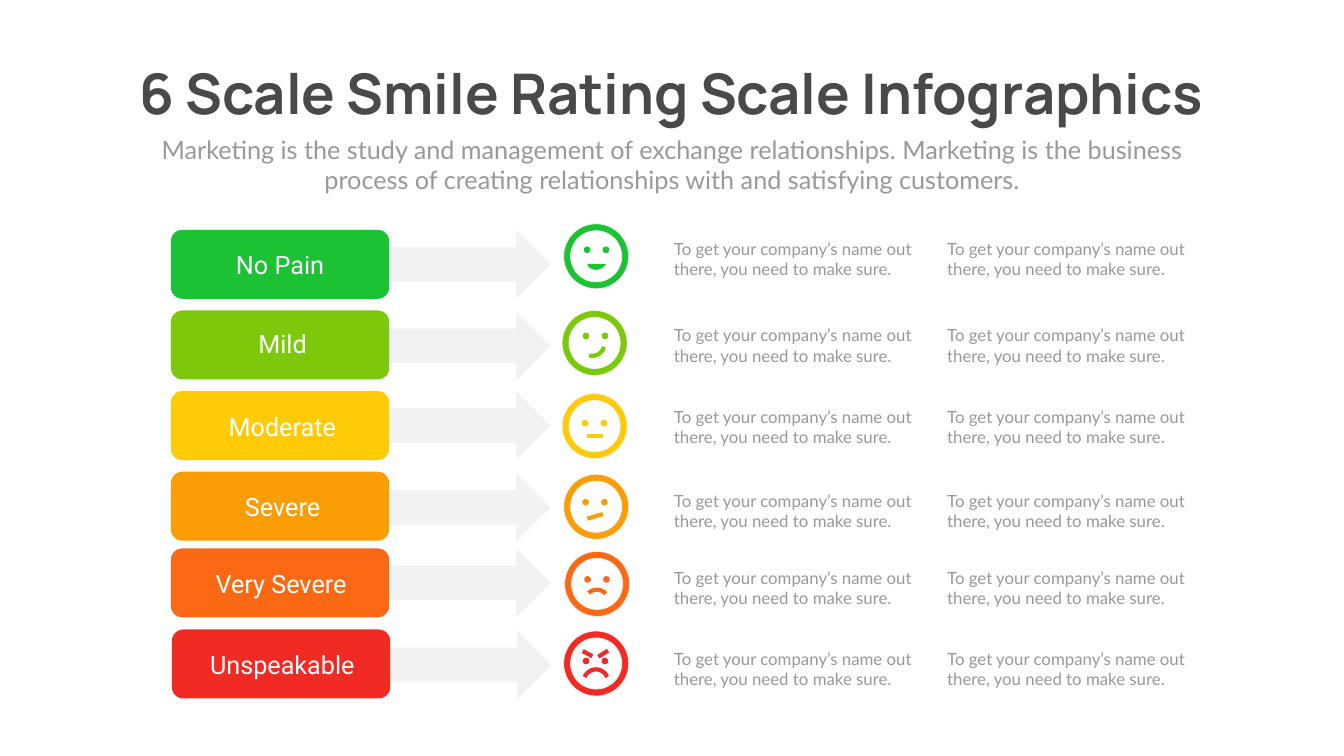
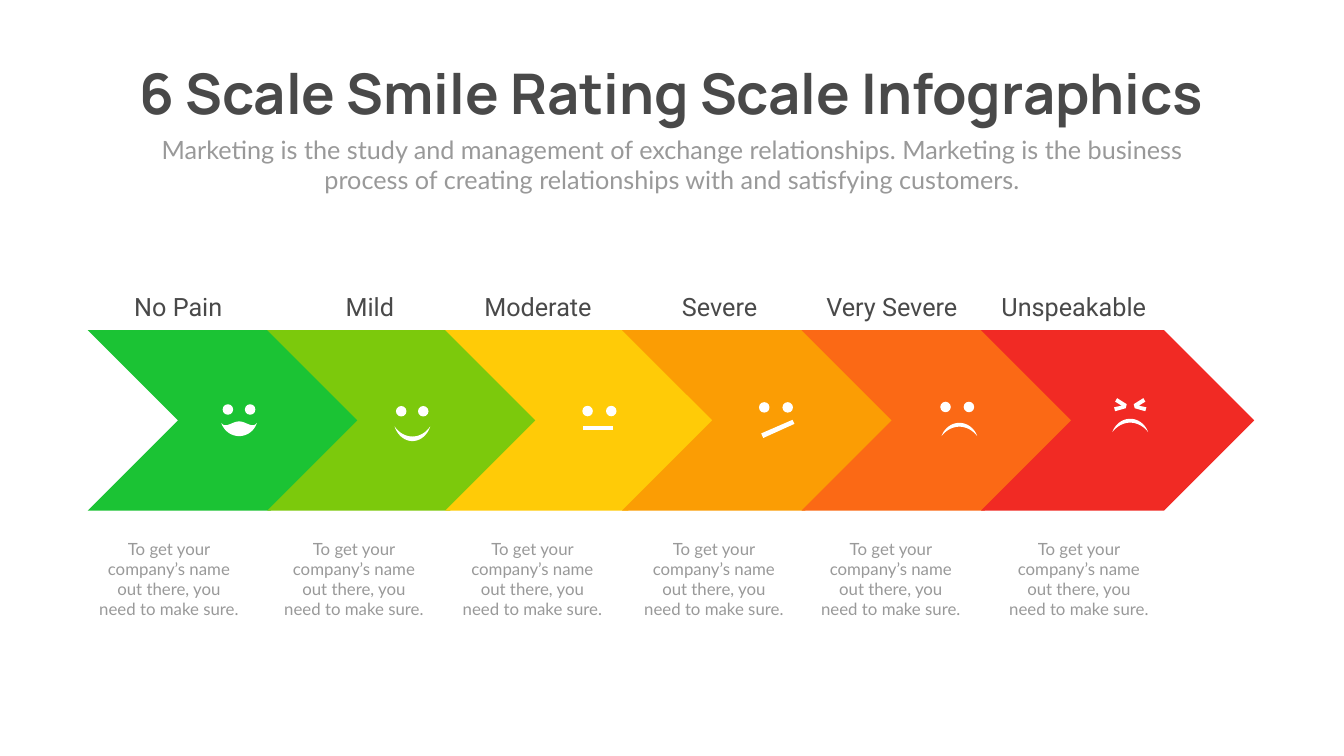
from lxml import etree
from pptx import Presentation
from pptx.dml.color import RGBColor
from pptx.enum.shapes import MSO_CONNECTOR, MSO_SHAPE
from pptx.enum.text import MSO_AUTO_SIZE, PP_ALIGN
from pptx.oxml.ns import qn
from pptx.util import Pt

LEFT, CENTER = PP_ALIGN.LEFT, PP_ALIGN.CENTER
FIT = MSO_AUTO_SIZE.SHAPE_TO_FIT_TEXT
STRAIGHT = MSO_CONNECTOR.STRAIGHT
ARROW, CARD = MSO_SHAPE.RIGHT_ARROW, MSO_SHAPE.ROUNDED_RECTANGLE
RING, DOT, CHEVRON = MSO_SHAPE.DONUT, MSO_SHAPE.OVAL, MSO_SHAPE.CHEVRON
ARC, CHORD = MSO_SHAPE.ARC, MSO_SHAPE.CHORD


class Theme:
    dark, gray, pale, white = "494949", "999999", "F2F2F2", "FFFFFF"
    levels = ["1BC334", "7CC90C", "FFCB07", "FB9D04", "FB6915", "F12A24"]
    title_font, body_font, label_font = "Manrope", "Lato", "Roboto"
    title_size, subtitle_size, label_size, body_size = 80, 36, 36, 24
    stroke = 6


NAMES = ["No Pain", "Mild", "Moderate", "Severe", "Very Severe", "Unspeakable"]
TITLE = "6 Scale Smile Rating Scale Infographics"
SUBTITLE = ("Marketing is the study and management of exchange relationships. "
            "Marketing is the business process of creating relationships with "
            "and satisfying customers.")
CAPTION = "To get your company’s name out there, you need to make sure."


def add_text(slide, text, box, font, size, color, align=CENTER, bold=False, wrap=True):
    tf = slide.shapes.add_textbox(*map(Pt, box)).text_frame
    tf.text = text
    tf.word_wrap = wrap
    tf.auto_size = FIT
    p = tf.paragraphs[0]
    p.alignment = align
    r = p.runs[0]
    r.font.name, r.font.size, r.font.bold = font, Pt(size), bold
    r.font.color.rgb = RGBColor.from_string(color)


def add_shape(slide, kind, box, fill=None, line=None, width=1, rotation=0, adj=()):
    """Add a preset shape; fill or line is left out when it has no colour."""
    s = slide.shapes.add_shape(kind, *map(Pt, box))
    s.shadow.inherit = False
    s.rotation = rotation
    for i, value in enumerate(adj):
        s.adjustments[i] = value
    if fill:
        s.fill.solid()
        s.fill.fore_color.rgb = RGBColor.from_string(fill)
    else:
        s.fill.background()
    if line:
        s.line.color.rgb = RGBColor.from_string(line)
        s.line.width = Pt(width)
    else:
        s.line.fill.background()


prs = Presentation()
prs.slide_width, prs.slide_height = Pt(1919.5), Pt(1080)
rows_slide, chevron_slide = [prs.slides.add_slide(prs.slide_layouts[6]) for _ in range(2)]

for slide in (rows_slide, chevron_slide):
    add_text(slide, TITLE, (138.2, 80.6, 1642.3, 104.4), Theme.title_font,
             Theme.title_size, Theme.dark, bold=True, wrap=False)
    add_text(slide, SUBTITLE, (210.2, 187.9, 1499, 94.3), Theme.body_font,
             Theme.subtitle_size, Theme.gray)

# Slide 1: one row per level
# left, arrow top, card top, label (left, top, width), ring, left eye, caption top
rows = [
    (244.1, 328.3, 328.3, (327.6, 352.1, 144.7), (805, 319.7), (833.8, 352.1), 337),
    (244.1, 445, 443.5, (331.2, 465.8, 144.7), (802.8, 443.5), (832.3, 475.2), 460.8),
    (244.1, 558.7, 558.7, (308.2, 583.9, 190), (802.8, 562.3), (830.9, 599.8), 577.4),
    (244.1, 675.4, 673.9, (331.2, 697.7, 144.7), (805, 677.5), (831.6, 712.8), 697),
    (244.1, 783.4, 783.4, (288, 807.8, 226.8), (806.4, 787.7), (834.5, 823), 807.1),
    (245.5, 900.7, 899.3, (288.7, 923.8, 229), (805, 901.4), (832.3, 939.6), 923),
]
for name, color, row in zip(NAMES, Theme.levels, rows):
    left, arrow_top, card_top, label, ring, eye, caption_top = row
    add_shape(rows_slide, ARROW, (left, arrow_top, 542.2, 98.6), Theme.pale)
    add_shape(rows_slide, CARD, (left, card_top, 311.8, 98.6), color)
    add_text(rows_slide, name, (*label, 51.1), Theme.label_font,
             Theme.label_size, Theme.white)
    add_shape(rows_slide, RING, (*ring, 92.9, 92.9), color, Theme.pale, adj=[0.106])
    for dx in (0, 27):
        add_shape(rows_slide, DOT, (eye[0] + dx, eye[1], 9.4, 9.4), color)
    for caption_left in (955.4, 1345.7):
        add_text(rows_slide, CAPTION, (caption_left, caption_top, 373.7, 65.5),
                 Theme.body_font, Theme.body_size, Theme.gray, LEFT)

add_shape(rows_slide, CHORD, (841.7, 361.4, 20.9, 27.4), Theme.levels[0],
          rotation=262.7, adj=[63.85, 162])
curved_mouths = [
    (1, 828.7, 473.8, 105, (162, 0)),
    (4, 835.2, 842.4, 318.1, (161.11, 0)),
    (5, 833.8, 956.2, 318.1, (145.97, 12.37)),
]
for level, x, y, rotation, adj in curved_mouths:
    add_shape(rows_slide, ARC, (x, y, 34.6, 34.6), line=Theme.levels[level],
              width=Theme.stroke, rotation=rotation, adj=adj)

# Slide 2: one chevron per level
# chevron left, label left, label width, caption left
columns = [
    (125.3, 182.2, 144.7, 132.5),
    (381.6, 455.8, 144.7, 396.7),
    (635.8, 675.4, 185.8, 651.6),
    (888.5, 955.4, 144.7, 910.8),
    (1144.8, 1155.6, 236.2, 1163.5),
    (1401.1, 1415.5, 236.2, 1432.1),
]
for name, color, column in zip(NAMES, Theme.levels, columns):
    left, label_left, label_width, caption_left = column
    add_shape(chevron_slide, CHEVRON, (left, 471.6, 390.2, 257.8), color)
    add_text(chevron_slide, name, (label_left, 412.6, label_width, 51.1),
             Theme.label_font, Theme.label_size, Theme.dark)
    add_text(chevron_slide, CAPTION, (caption_left, 765.4, 217.4, 123.8),
             Theme.body_font, Theme.body_size, Theme.gray)

# Round eyes: centres of the left and right eye, and their height
for left_x, right_x, y in [(325.5, 357.2, 585), (573, 604.5, 587.5), (839.2, 873, 587.2),
                           (1091.5, 1125, 582), (1350.4, 1383.8, 581.4)]:
    for x in (left_x, right_x):
        add_shape(chevron_slide, DOT, (x - 7.5, y - 7.5, 15, 15), Theme.white)

# Left halves of the mouths: two Bezier curves, measured from the top centre
grin = [((0, 0), (-10, 0), (-19.5, 11), (-25.5, 2)),
        ((-25.5, 2), (-22, 13), (-12, 21), (0, 21))]
smile = [((0, 14.5), (-11, 14.5), (-20, 8), (-25.5, 0)),
         ((-25.5, 0), (-22, 11.5), (-12, 21), (0, 21))]
frown = [((0, 0), (-12, 0), (-22, 8.5), (-25.5, 19)),
         ((-25.5, 19), (-20, 11.5), (-10.5, 5.5), (0, 5.5))]

slanted_mouth = [(1087.2, 619.2), (1090.1, 625.7), (1134.7, 605.5), (1131.8, 599.8)]
squint_axis = 1614.2
squint = [(1592.6, 587.5), (1607.8, 583.2), (1609.2, 577.4), (1595.5, 568.8),
          (1592.6, 573.8), (1602, 579.6), (1591.2, 581.8)]
outlines = [slanted_mouth, squint, [(2 * squint_axis - x, y) for x, y in squint]]

STEPS = 12
for curves, center, top in [(grin, 341.5, 602), (smile, 589, 609.1),
                            (frown, 1370.2, 604.1), (frown, 1614.2, 598.3)]:
    half = []
    for a, b, c, d in curves:
        for i in range(STEPS + 1):
            t = i / STEPS
            u = 1 - t
            half.append([u**3 * a[k] + 3 * u * u * t * b[k] + 3 * u * t * t * c[k]
                         + t**3 * d[k] for k in (0, 1)])
    outlines.append([(center + x, top + y) for x, y in half]
                    + [(center - x, top + y) for x, y in reversed(half)])

for outline in outlines:
    points = [(Pt(x), Pt(y)) for x, y in outline]
    builder = chevron_slide.shapes.build_freeform(*points[0], scale=1.0)
    builder.add_line_segments(points[1:], close=True)
    s = builder.convert_to_shape()
    s.shadow.inherit = False
    s.fill.solid()
    s.fill.fore_color.rgb = RGBColor.from_string(Theme.white)
    s.line.fill.background()

# Straight mouths and brows on both slides
strokes = [
    (rows_slide, Theme.levels[2], (838.8, 622.8, 861.1, 622.8)),
    (rows_slide, Theme.levels[3], (838.8, 740.9, 861.1, 734.4)),
    (rows_slide, Theme.levels[5], (832.3, 930.2, 846, 937.4)),
    (rows_slide, Theme.levels[5], (854.6, 938.2, 868.3, 929.5)),
    (chevron_slide, Theme.white, (833, 611.3, 876.2, 611.3)),
]
for slide, color, ends in strokes:
    s = slide.shapes.add_connector(STRAIGHT, *map(Pt, ends))
    s.line.color.rgb = RGBColor.from_string(color)
    s.line.width = Pt(Theme.stroke)
    etree.SubElement(s._element.spPr, qn("a:effectLst"))

prs.save("out.pptx")
